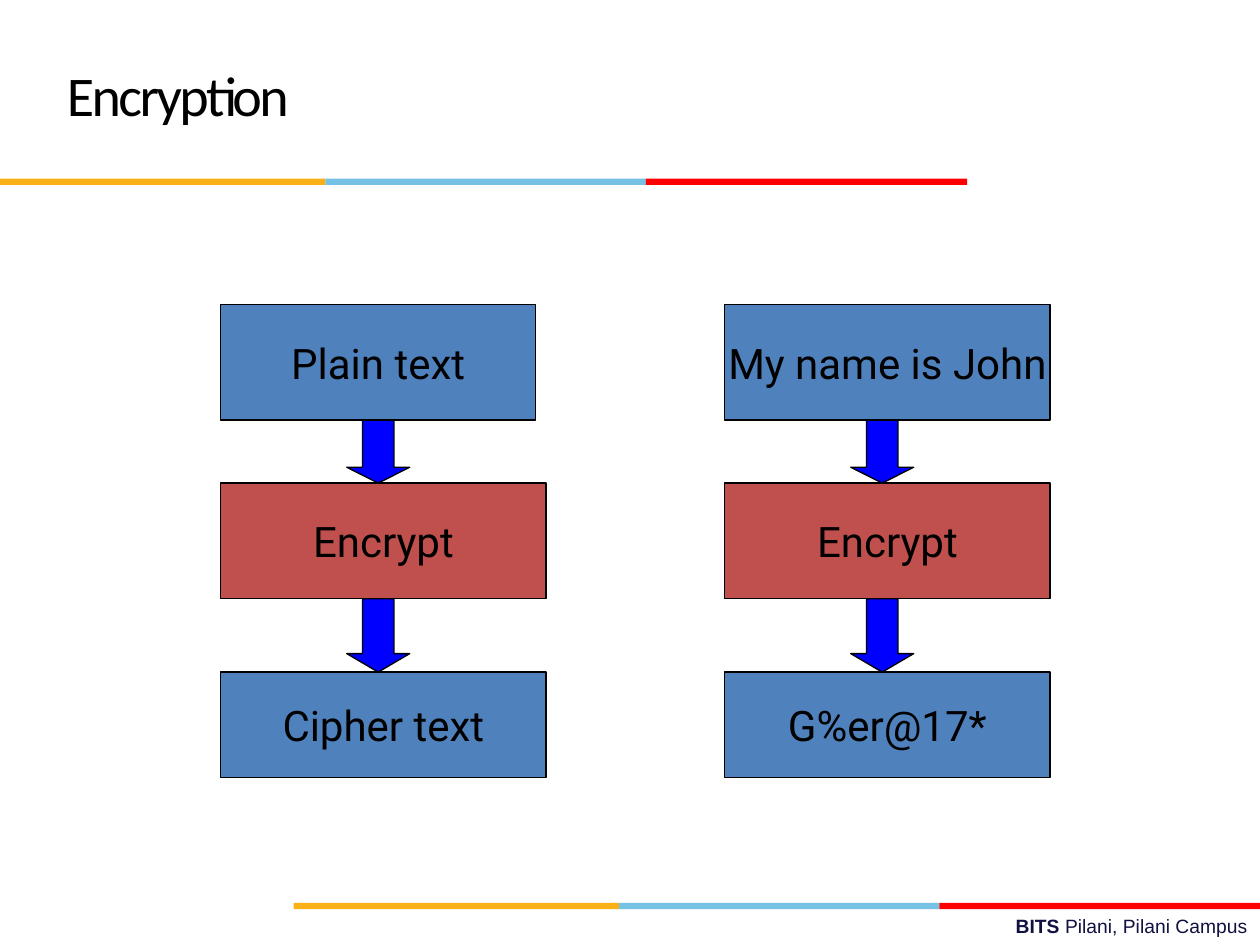
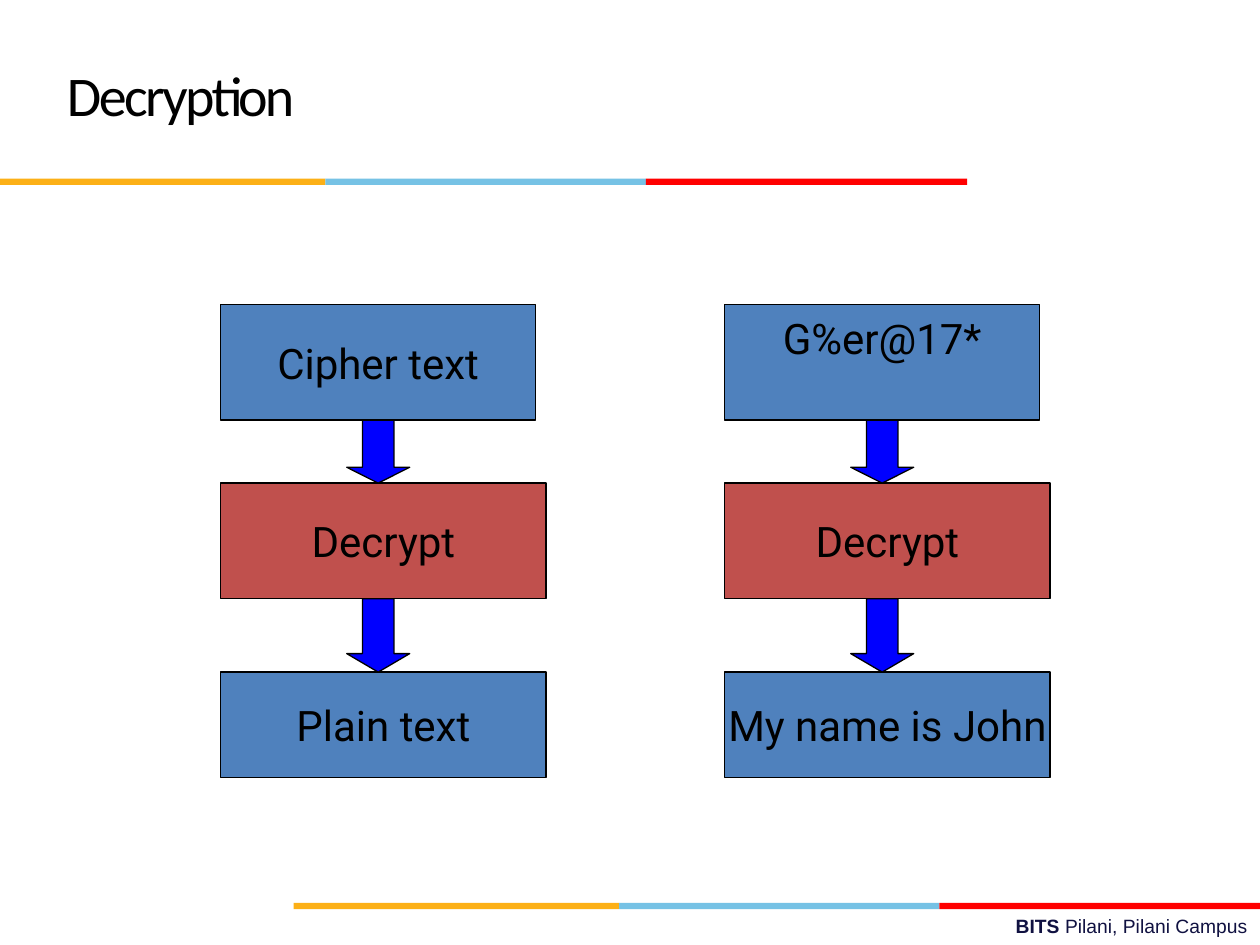
from pptx import Presentation
from pptx.dml.color import RGBColor
from pptx.enum.shapes import MSO_SHAPE
from pptx.enum.text import MSO_ANCHOR, PP_ALIGN
from pptx.util import Cm, Pt

RECTANGLE, DOWN_ARROW = MSO_SHAPE.RECTANGLE, MSO_SHAPE.DOWN_ARROW
TOP, MIDDLE = MSO_ANCHOR.TOP, MSO_ANCHOR.MIDDLE
CENTER, RIGHT = PP_ALIGN.CENTER, PP_ALIGN.RIGHT

BLACK = RGBColor(0x00, 0x00, 0x00)
NAVY = RGBColor(0x10, 0x11, 0x41)
AMBER = RGBColor(0xFC, 0xB0, 0x17)
SKY = RGBColor(0x76, 0xC2, 0xE5)
RED = RGBColor(0xFF, 0x00, 0x00)
TEXT_BLUE = RGBColor(0x4F, 0x81, 0xBD)
STEP_RED = RGBColor(0xC0, 0x50, 0x4D)
ARROW_BLUE = RGBColor(0x00, 0x00, 0xFF)

# Lengths in centimetres
BAND_PARTS = [(AMBER, 6.56), (SKY, 6.46), (RED, 6.48)]
BANDS = [(0, 3.6), (5.92, 18.2)]  # left, top
COLUMN_LEFTS = [4.45, 14.61]
ROWS = [(6.14, 2.33, TEXT_BLUE), (9.74, 2.33, STEP_RED), (13.55, 2.12, TEXT_BLUE)]
NARROW, WIDE = 6.35, 6.56
ARROW_WIDTH = 1.27
ARROW_HEAD = 0.32

# Title, then per column: width of the first box, its anchor, the three texts
SLIDES = [
    ("Encryption", [
        (NARROW, MIDDLE, ["Plain text", "Encrypt", "Cipher text"]),
        (WIDE, MIDDLE, ["My name is John", "Encrypt", "G%er@17*"]),
    ]),
    ("Decryption", [
        (NARROW, MIDDLE, ["Cipher text", "Decrypt", "Plain text"]),
        (NARROW, TOP, ["G%er@17*", "Decrypt", "My name is John"]),
    ]),
]


def add_filled_shape(page, kind, left, top, width, height, fill, outlined=True):
    shape = page.shapes.add_shape(kind, Cm(left), Cm(top), Cm(width), Cm(height))
    shape.shadow.inherit = False
    shape.fill.solid()
    shape.fill.fore_color.rgb = fill
    if outlined:
        shape.line.color.rgb = BLACK
        shape.line.width = Pt(0.75)
    else:
        shape.line.fill.background()
    return shape


def set_font(font, name, size, color):
    font.name, font.size = name, Pt(size)
    font.color.rgb = color


deck = Presentation()
deck.slide_width, deck.slide_height = Cm(25.4), Cm(19.05)

for title, columns in SLIDES:
    page = deck.slides.add_slide(deck.slide_layouts[6])

    # Footer and colour bands
    footer = page.shapes.add_textbox(Cm(9.1), Cm(18.31), Cm(16.3), Cm(0.73))
    footer.text_frame.word_wrap = True
    para = footer.text_frame.paragraphs[0]
    para.alignment = RIGHT
    set_font(para.font, "Arial", 11, NAVY)
    for text, bold in [("BITS ", True), ("Pilani, Pilani Campus", False)]:
        span = para.add_run()
        span.text = text
        span.font.bold = bold

    for left, top in BANDS:
        for color, width in BAND_PARTS:
            add_filled_shape(page, RECTANGLE, left, top, width, 0.13, color, outlined=False)
            left += width

    # Title
    heading = page.shapes.add_textbox(Cm(1.1), Cm(0.76), Cm(17), Cm(2.36))
    heading.text_frame.word_wrap = True
    heading.text_frame.vertical_anchor = MIDDLE
    para = heading.text_frame.paragraphs[0]
    para.line_spacing = Pt(36)
    set_font(para.font, "Calibri", 32, BLACK)
    span = para.add_run()
    span.text = title
    span._r.get_or_add_rPr().set("spc", "-150")

    # Two flows, each of three boxes joined by block arrows
    for left, (first_width, first_anchor, texts) in zip(COLUMN_LEFTS, columns):
        for index, (text, (top, height, fill)) in enumerate(zip(texts, ROWS)):
            width, anchor = (first_width, first_anchor) if index == 0 else (WIDE, MIDDLE)
            box = add_filled_shape(page, RECTANGLE, left, top, width, height, fill)
            frame = box.text_frame
            frame.word_wrap = False
            frame.vertical_anchor = anchor
            if anchor == TOP:
                frame.margin_top = Cm(0.17)
            para = frame.paragraphs[0]
            para.text = text
            para.alignment = CENTER
            set_font(para.font, "Roboto", 24, BLACK)

        arrow_left = left + (NARROW - ARROW_WIDTH) / 2
        for (top, height, _), (next_top, _, _) in zip(ROWS, ROWS[1:]):
            gap = next_top - top - height
            arrow = add_filled_shape(page, DOWN_ARROW, arrow_left, top + height,
                                     ARROW_WIDTH, gap, ARROW_BLUE)
            arrow.adjustments[0] = 0.5
            # The head is a quarter of the width, growing with the gap
            arrow.adjustments[1] = ARROW_HEAD * gap / ARROW_WIDTH / ARROW_WIDTH

deck.save("out.pptx")
